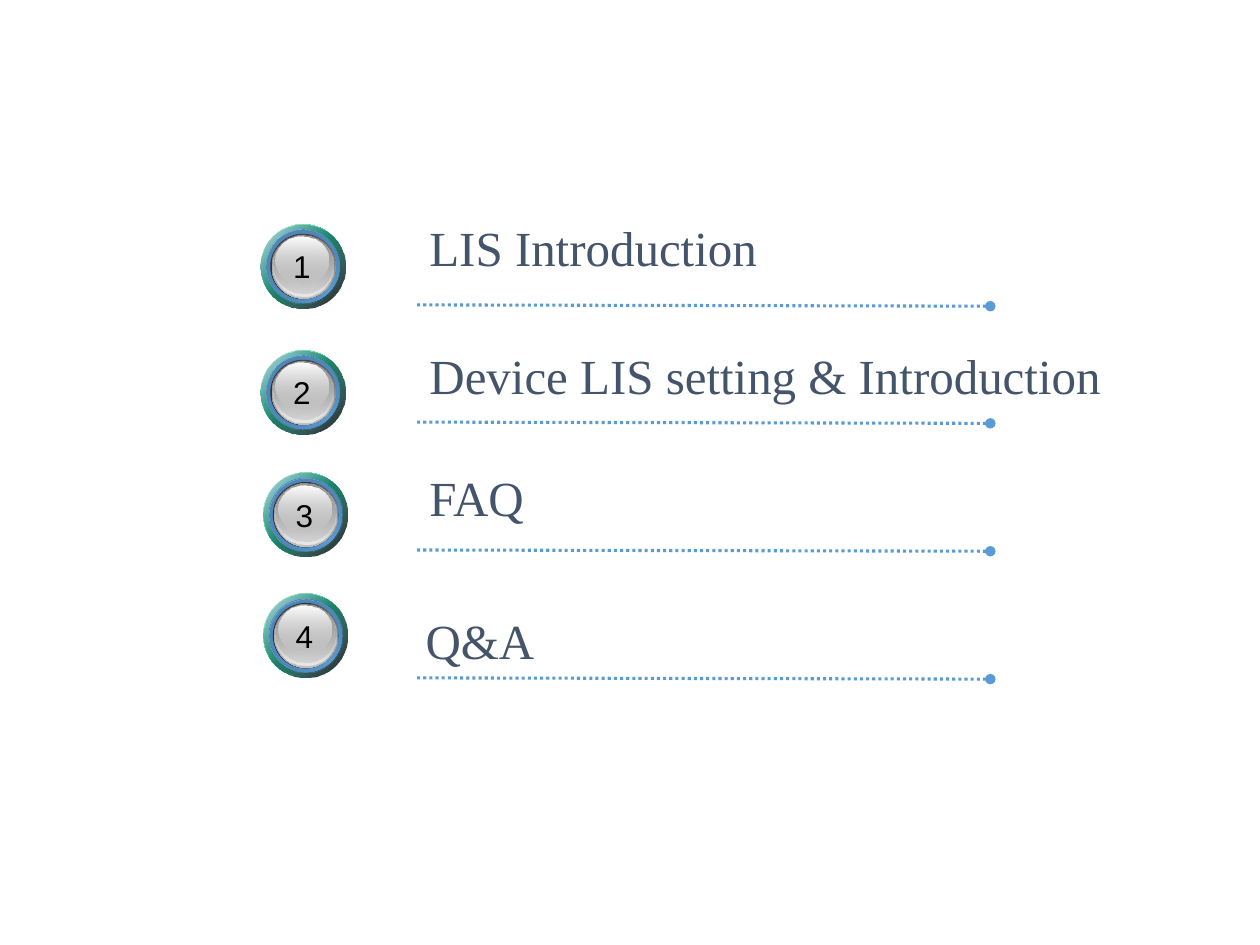
from dataclasses import dataclass
from typing import NamedTuple

from lxml import etree
from pptx import Presentation
from pptx.dml.color import RGBColor
from pptx.enum.dml import MSO_LINE
from pptx.enum.shapes import MSO_CONNECTOR, MSO_SHAPE
from pptx.enum.text import PP_ALIGN
from pptx.oxml.ns import qn
from pptx.util import Inches, Pt

OVAL = MSO_SHAPE.OVAL
STRAIGHT = MSO_CONNECTOR.STRAIGHT
DOTTED = MSO_LINE.ROUND_DOT
LEFT, CENTER = PP_ALIGN.LEFT, PP_ALIGN.CENTER
BLANK_LAYOUT = 6

COLUMNS, ROWS = 100, 75
CELL = Inches(10) // COLUMNS


@dataclass(frozen=True)
class Theme:
    accent: str = "5B9BD5"
    accent_dark: str = "4677A3"
    accent_mid: str = "4B7FAF"
    green: str = "00CC66"
    white: str = "FFFFFF"
    black: str = "000000"
    charcoal: str = "333333"
    gray_dark: str = "595959"
    gray_mid: str = "989898"
    silver: str = "C0C0C0"
    gray_pale: str = "E9E9E9"
    heading: str = "44546A"
    heading_font: str = "Times New Roman"
    number_font: str = "Arial"
    heading_size: float = 28
    number_size: float = 18
    rule_width: float = 1.75


class Area(NamedTuple):
    column: float
    row: float
    columns: float
    rows: float

    def shifted(self, column: float, row: float) -> "Area":
        return Area(self.column + column, self.row + row, self.columns, self.rows)

    def lengths(self) -> list[int]:
        return [cells(value) for value in self]


class Stop(NamedTuple):
    position: int
    color: str
    opacity: int = 100


class Layer(NamedTuple):
    area: Area
    stops: tuple[Stop, ...]
    angle: int = 0


class TextStyle(NamedTuple):
    font: str
    size: float
    color: str
    align: PP_ALIGN
    wrap: bool


class AgendaItem(NamedTuple):
    title: str
    badge_column: float
    badge_row: float
    title_area: Area
    rule_row: float


THEME = Theme()
HEADING = TextStyle(THEME.heading_font, THEME.heading_size, THEME.heading, LEFT, True)
NUMBER = TextStyle(THEME.number_font, THEME.number_size, THEME.black, CENTER, False)

OUTER = Area(0, 0, 6.7, 6.7)
RING = Area(0.45, 0.45, 5.8, 5.8)
NUMBER_AREA = Area(1.3, 1.35, 3.9, 4)
RULE_START, RULE_END, RULE_DROP = 33.1, 78.6, 0.1

LAYERS = (
    Layer(OUTER, (Stop(0, THEME.white), Stop(50, THEME.green), Stop(100, THEME.white)), 45),
    Layer(OUTER, (Stop(0, THEME.accent, 32), Stop(100, THEME.black, 90)), 45),
    Layer(RING, (Stop(0, THEME.accent_dark), Stop(50, THEME.accent),
                 Stop(100, THEME.accent_dark)), 315),
    Layer(RING, (Stop(0, THEME.accent_mid), Stop(100, THEME.accent, 0)), 45),
    Layer(Area(0.75, 0.75, 5.2, 5.2), (Stop(0, THEME.charcoal),)),
    Layer(Area(0.85, 0.8, 5.1, 5.1), (Stop(0, THEME.gray_dark), Stop(100, THEME.silver)), 90),
    Layer(Area(0.9, 0.85, 4.9, 4.9), (Stop(0, THEME.silver, 0), Stop(100, THEME.gray_pale)), 90),
    Layer(Area(1, 0.9, 4.7, 4.6), (Stop(0, THEME.gray_mid), Stop(100, THEME.silver, 48)), 90),
    Layer(Area(1.2, 1, 4.2, 3.7), (Stop(0, THEME.white), Stop(100, THEME.silver, 38)), 90),
)

AGENDA = (
    AgendaItem("LIS Introduction", 20.7, 17.8, Area(33.1, 16.8, 44.3, 8.7), 24.2),
    AgendaItem("Device LIS setting & Introduction", 20.7, 27.8, Area(33.1, 26.9, 66.9, 5.7), 33.5),
    AgendaItem("FAQ", 20.9, 37.5, Area(33.1, 36.6, 46.1, 5.7), 43.65),
    AgendaItem("Q&A", 20.9, 47.1, Area(32.8, 48, 33.3, 8.7), 53.8),
)


def cells(count: float) -> int:
    return round(count * CELL)


def fill_gradient(shape, stops: tuple[Stop, ...], angle: int) -> None:
    shape.fill.gradient()
    shape.fill.gradient_angle = 360 - angle
    stop_list = shape._element.spPr.find(".//" + qn("a:gsLst"))
    for old_stop in list(stop_list):
        stop_list.remove(old_stop)
    for stop in stops:
        entry = etree.SubElement(stop_list, qn("a:gs"), pos=str(stop.position * 1000))
        color = etree.SubElement(entry, qn("a:srgbClr"), val=stop.color)
        if stop.opacity < 100:
            etree.SubElement(color, qn("a:alpha"), val=str(stop.opacity * 1000))


def add_layer(shapes, layer: Layer, column: float, row: float) -> None:
    disc = shapes.add_shape(OVAL, *layer.area.shifted(column, row).lengths())
    disc.shadow.inherit = False
    disc.line.fill.background()
    if len(layer.stops) == 1:
        disc.fill.solid()
        disc.fill.fore_color.rgb = RGBColor.from_string(layer.stops[0].color)
    else:
        fill_gradient(disc, layer.stops, layer.angle)


def add_text(shapes, text: str, area: Area, style: TextStyle) -> None:
    box = shapes.add_textbox(*area.lengths())
    box.text_frame.word_wrap = style.wrap
    para = box.text_frame.paragraphs[0]
    para.text = text
    para.alignment = style.align
    para.font.name = style.font
    para.font.size = Pt(style.size)
    para.font.color.rgb = RGBColor.from_string(style.color)


def add_badge(page, number: int, column: float, row: float) -> None:
    badge = page.shapes.add_group_shape()
    for layer in LAYERS:
        add_layer(badge.shapes, layer, column, row)
    add_text(badge.shapes, str(number), NUMBER_AREA.shifted(column, row), NUMBER)


def add_rule(page, row: float) -> None:
    rule = page.shapes.add_connector(
        STRAIGHT, cells(RULE_START), cells(row), cells(RULE_END), cells(row + RULE_DROP)
    )
    rule.line.color.rgb = RGBColor.from_string(THEME.accent)
    rule.line.width = Pt(THEME.rule_width)
    rule.line.dash_style = DOTTED
    etree.SubElement(rule.line._get_or_add_ln(), qn("a:tailEnd"), type="oval")
    etree.SubElement(rule._element.spPr, qn("a:effectLst"))


def main() -> None:
    deck = Presentation()
    deck.slide_width, deck.slide_height = cells(COLUMNS), cells(ROWS)
    page = deck.slides.add_slide(deck.slide_layouts[BLANK_LAYOUT])
    for number, item in enumerate(AGENDA, start=1):
        add_badge(page, number, item.badge_column, item.badge_row)
        add_rule(page, item.rule_row)
        add_text(page.shapes, item.title, item.title_area, HEADING)
    deck.save("out.pptx")


if __name__ == "__main__":
    main()
